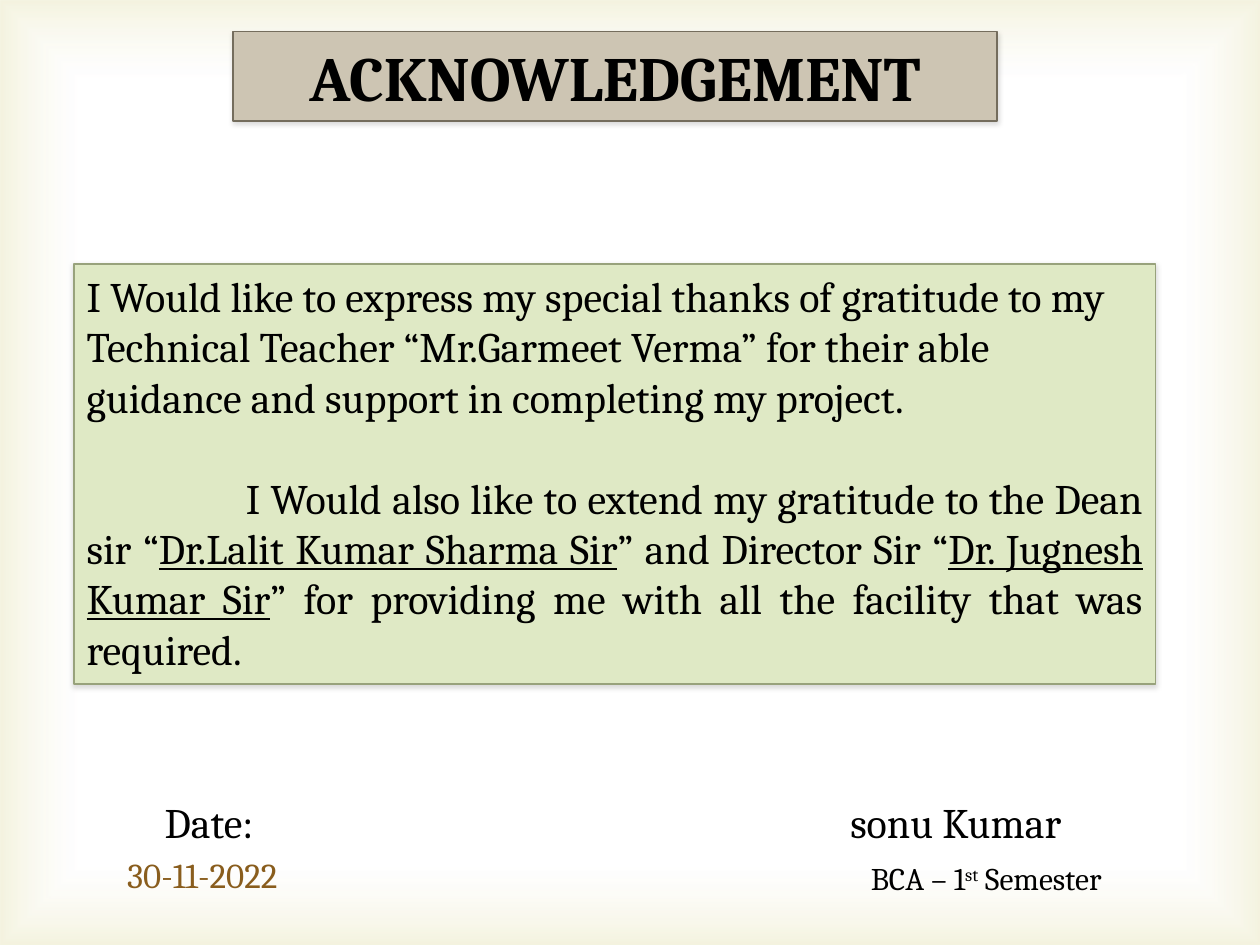
"""Builds the acknowledgement slide with its framed title, thanks and signature."""
from lxml import etree
from pptx import Presentation
from pptx.dml.color import RGBColor
from pptx.enum.shapes import MSO_SHAPE
from pptx.enum.text import MSO_ANCHOR, MSO_AUTO_SIZE, PP_ALIGN
from pptx.oxml.ns import qn
from pptx.util import Pt

RECTANGLE = MSO_SHAPE.RECTANGLE
LEFT, CENTER, JUSTIFY = PP_ALIGN.LEFT, PP_ALIGN.CENTER, PP_ALIGN.JUSTIFY
TOP, MIDDLE = MSO_ANCHOR.TOP, MSO_ANCHOR.MIDDLE
NO_AUTOFIT = MSO_AUTO_SIZE.NONE
COLORS = {
    "text": "000000", "date": "895D1D", "glow": "D1CA75", "center": "FFFFFF",
    "title_fill": "CDC5B3", "title_line": "746D5D",
    "thanks_fill": "DFE9C5", "thanks_line": "98A27C", "shadow": "000000",
}


def add_xml(parent, tag, **attributes):
    return etree.SubElement(parent, qn(tag), {k: str(v) for k, v in attributes.items()})


def add_color(parent, color, opacity):
    node = add_xml(parent, "a:srgbClr", val=COLORS[color])
    add_xml(node, "a:alpha", val=opacity * 1000)


class Page:
    def __init__(self, slide, font="Cambria"):
        self.slide = slide
        self.font = font

    def glow(self, width, height):
        backdrop = self.slide.shapes.add_shape(RECTANGLE, 0, 0, width, height)
        backdrop.shadow.inherit = False
        backdrop.line.fill.background()
        backdrop.fill.gradient()
        gradient = backdrop._element.spPr.find(qn("a:gradFill"))
        for child in list(gradient):
            gradient.remove(child)
        stops = add_xml(gradient, "a:gsLst")
        for position, color, opacity in ((83, "center", 11), (100, "glow", 23)):
            add_color(add_xml(stops, "a:gs", pos=position * 1000), color, opacity)
        shade = add_xml(gradient, "a:path", path="rect")
        add_xml(shade, "a:fillToRect", l=50000, t=50000, r=50000, b=50000)
        self.slide.shapes._spTree.insert(2, backdrop._element)

    def fill_text(self, frame, paragraphs, size, color="text", anchor=TOP, bold=False):
        for name, value in {"word_wrap": True, "auto_size": NO_AUTOFIT,
                            "vertical_anchor": anchor}.items():
            setattr(frame, name, value)
        for index, (align, before, indent, runs) in enumerate(paragraphs):
            paragraph = frame.add_paragraph() if index else frame.paragraphs[0]
            for name, value in {"alignment": align, "space_before": Pt(before)}.items():
                setattr(paragraph, name, value)
            properties = paragraph._p.get_or_add_pPr()
            properties.set("marL", "0")
            properties.set("indent", str(Pt(indent)))
            add_xml(properties, "a:buNone")
            for text, style in runs:
                run = paragraph.add_run()
                run.text = text
                for name, value in {"name": self.font, "size": Pt(size), "bold": bold,
                                    "underline": style == "underline"}.items():
                    setattr(run.font, name, value)
                run.font.color.rgb = RGBColor.from_string(COLORS[color])
                if style == "superscript":
                    run._r.get_or_add_rPr().set("baseline", "30000")

    def panel(self, holder, box, part, paragraphs, size, **style):
        for name, value in zip(("left", "top", "width", "height"), box):
            setattr(holder, name, Pt(value))
        holder.fill.solid()
        holder.fill.fore_color.rgb = RGBColor.from_string(COLORS[part + "_fill"])
        holder.line.color.rgb = RGBColor.from_string(COLORS[part + "_line"])
        holder.line.width = Pt(1)
        effects = add_xml(holder._element.spPr, "a:effectLst")
        shadow = add_xml(effects, "a:outerShdw", blurRad=Pt(3), dist=Pt(1),
                         dir=90 * 60000, rotWithShape=0)
        add_color(shadow, "shadow", 15)
        self.fill_text(holder.text_frame, paragraphs, size, **style)

    def label(self, box, runs, size, align=LEFT, **style):
        text_box = self.slide.shapes.add_textbox(*map(Pt, box))
        self.fill_text(text_box.text_frame, [(align, 0, 0, runs)], size, **style)


deck = Presentation()
deck.slide_width, deck.slide_height = Pt(720), Pt(540)
page = Page(deck.slides.add_slide(deck.slide_layouts[1]))
title, thanks = page.slide.placeholders

page.glow(deck.slide_width, deck.slide_height)
page.panel(title, (133.2, 18, 436.5, 51), "title",
           [(CENTER, 0, 0, [("ACKNOWLEDGEMENT", None)])], 36, anchor=MIDDLE, bold=True)

teacher_thanks = [
    ("I Would like to express my special thanks of gratitude to my Technical Teacher "
     "“Mr.Garmeet Verma” for their able guidance and support in completing my project.", None),
]
college_thanks = [
    ("I Would also like to extend my gratitude to the Dean sir “", None),
    ("Dr.Lalit Kumar Sharma Sir", "underline"),
    ("” and Director Sir “", None),
    ("Dr. Jugnesh Kumar Sir", "underline"),
    ("” for providing me with all the facility that was required.", None),
]
page.panel(thanks, (42.3, 151, 618, 240), "thanks",
           [(LEFT, 0, 0, teacher_thanks), (JUSTIFY, 28.8, 91, college_thanks)], 24)

page.label((65.5, 485.5, 168, 29), [("30-11-2022", None)], 20, color="date", anchor=MIDDLE)
page.label((65.5, 451.5, 108, 36), [("Date:", None)], 24, align=CENTER)
page.label((478.8, 451.5, 209.5, 36), [("sonu Kumar", None)], 24)
page.label((490.5, 487.5, 187, 29),
           [("BCA – 1", None), ("st", "superscript"), (" Semester", None)], 18)

deck.save("out.pptx")
